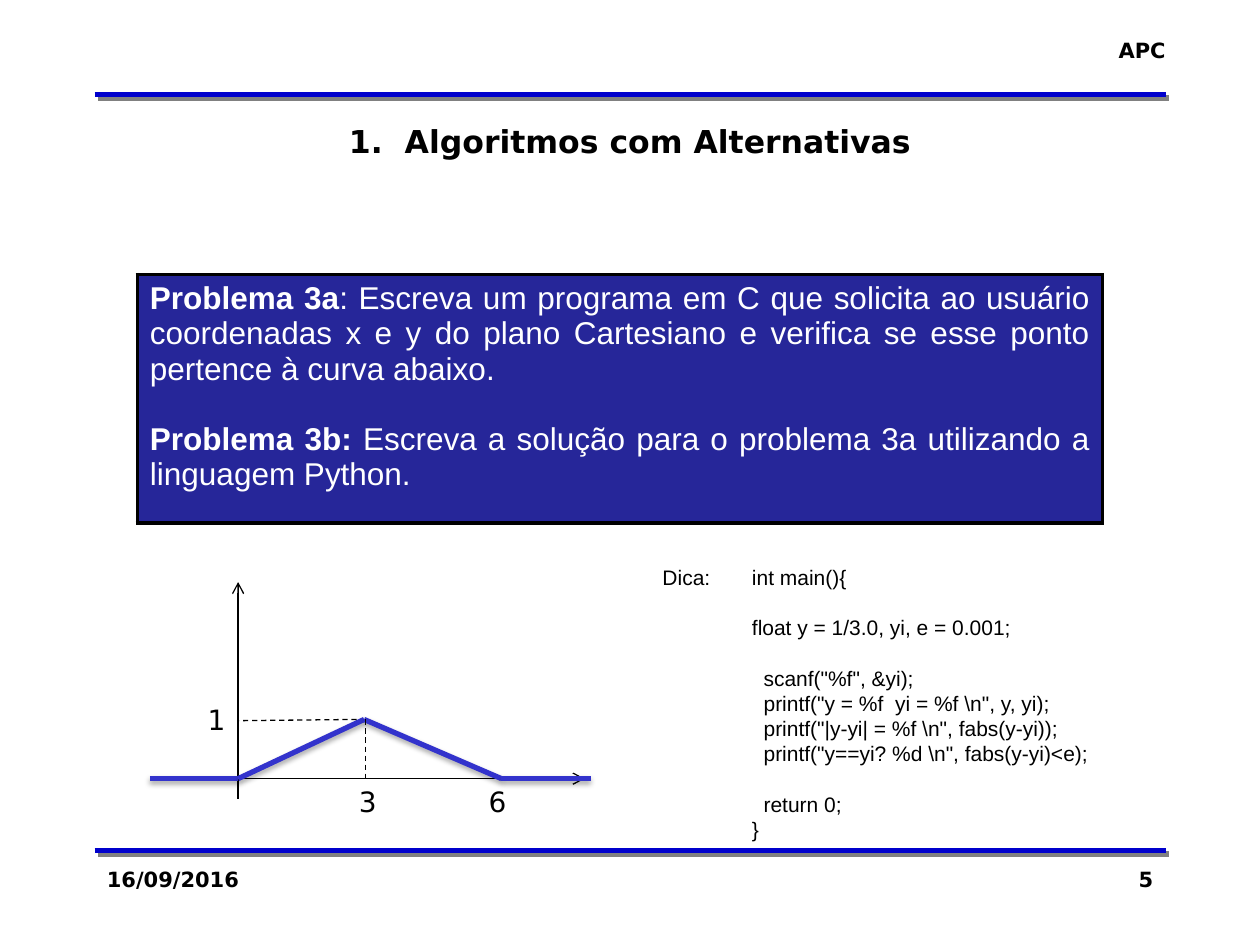
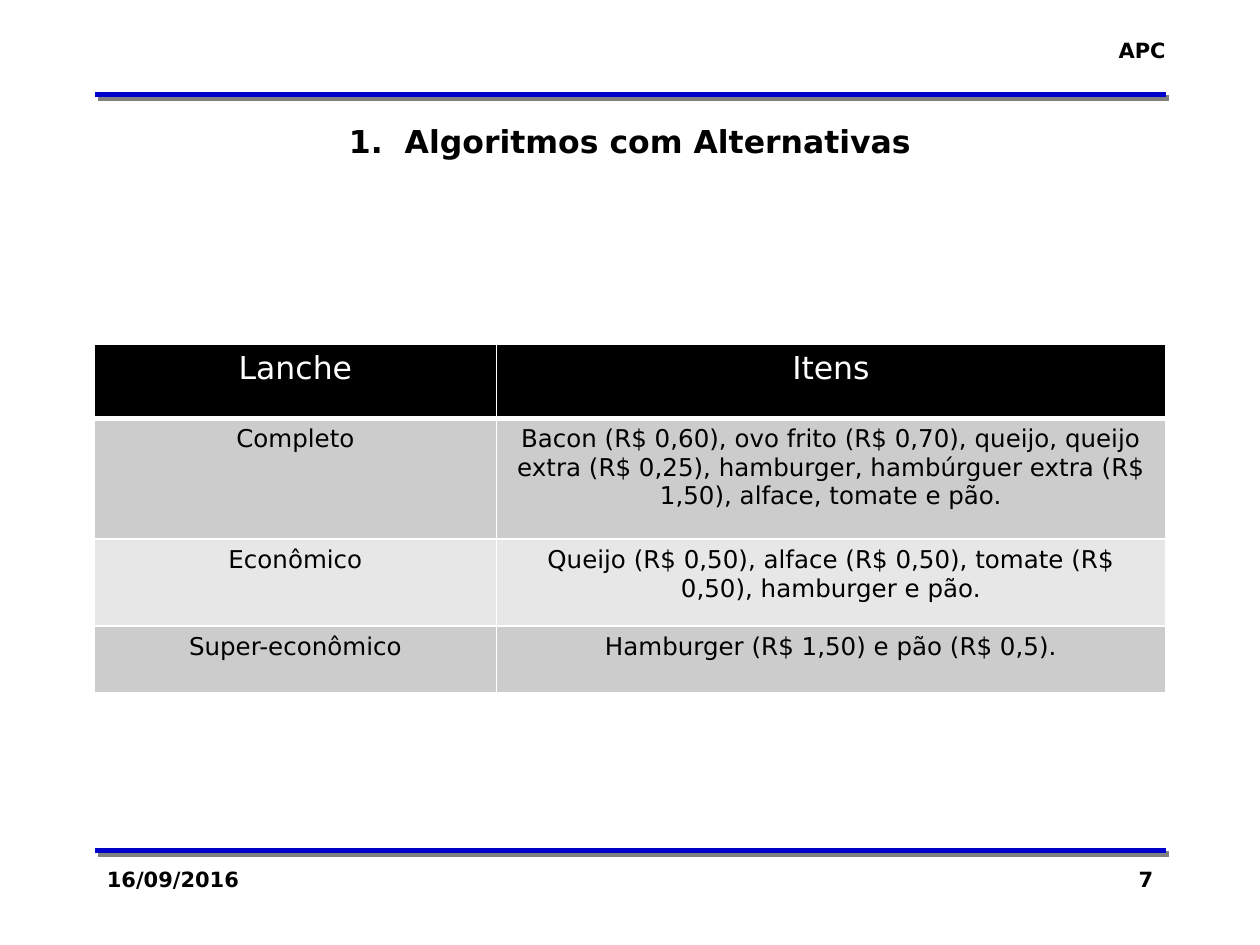
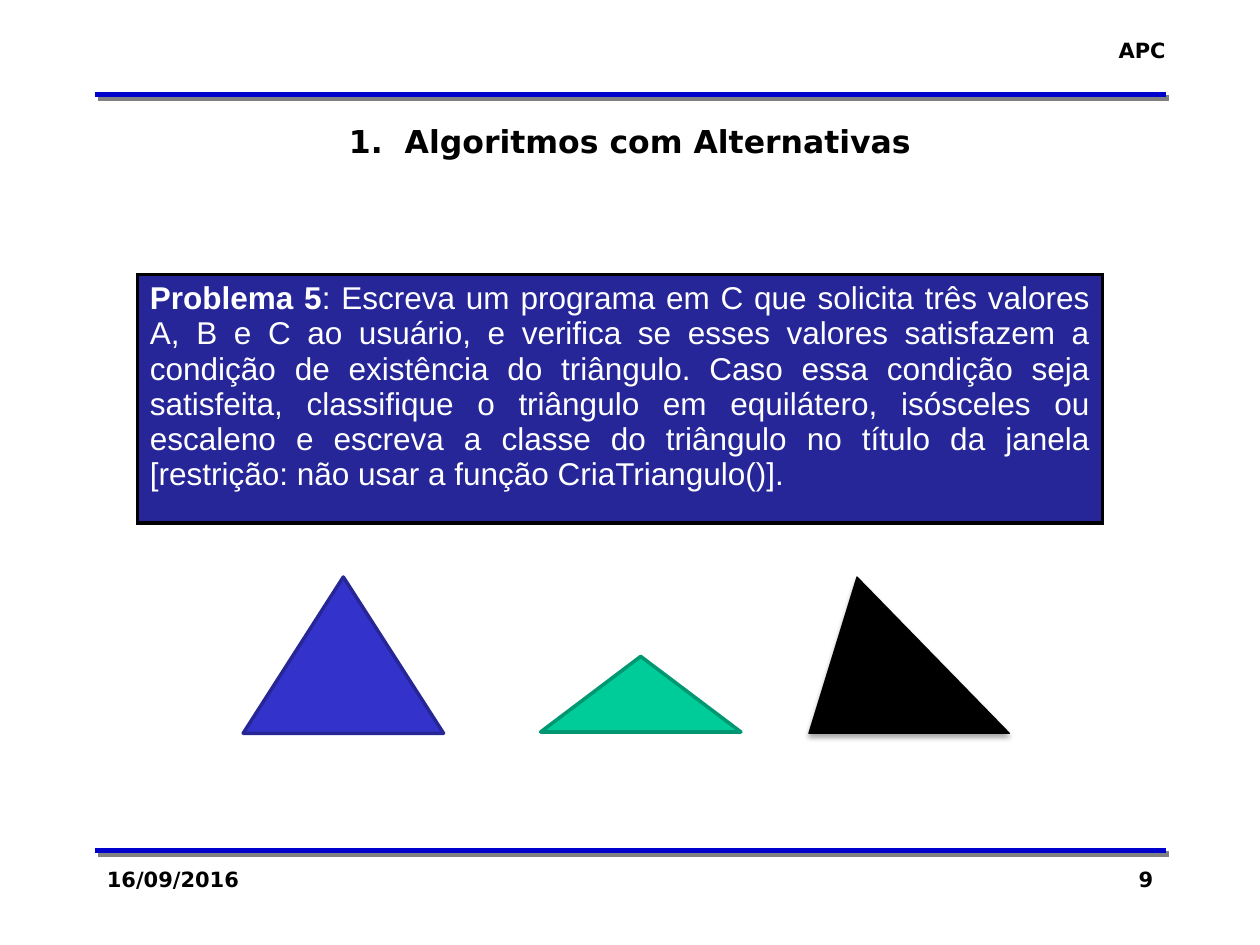
from lxml.etree import SubElement
from pptx import Presentation
from pptx.dml.color import RGBColor
from pptx.enum.dml import MSO_LINE
from pptx.enum.shapes import MSO_CONNECTOR, MSO_SHAPE
from pptx.enum.text import MSO_ANCHOR, PP_ALIGN
from pptx.oxml.ns import qn
from pptx.util import Inches, Pt

BLACK = RGBColor(0x00, 0x00, 0x00)
WHITE = RGBColor(0xFF, 0xFF, 0xFF)
RULE_BLUE = RGBColor(0x00, 0x00, 0xCC)
CURVE_BLUE = RGBColor(0x33, 0x33, 0xCC)
PANEL_BLUE = RGBColor(0x26, 0x26, 0x99)
EDGE_BLUE = RGBColor(0x26, 0x26, 0x97)
GREEN = RGBColor(0x00, 0xCC, 0x99)
EDGE_GREEN = RGBColor(0x00, 0x97, 0x71)
GRAY = RGBColor(0xCC, 0xCC, 0xCC)
LIGHT_GRAY = RGBColor(0xE7, 0xE7, 0xE7)
SHADOW_GRAY = RGBColor(0x80, 0x80, 0x80)

SANS = "DejaVu Sans"
ARIAL = "Arial"
HARD_SHADOW = (SHADOW_GRAY, 100, 0, 2.8, 45)
SOFT_SHADOW = (BLACK, 35, 3.1, 1.8, 90)


def add_text(page, place, lines, size=12, name=SANS, bold=False, align=PP_ALIGN.LEFT):
    box = page.shapes.add_textbox(*map(Inches, place))
    frame = box.text_frame
    frame.word_wrap = place[2] >= 0.6
    gap = 0
    for line in lines:
        if not line:
            gap = 14.4
            continue
        para = frame.paragraphs[0]
        if para.text:
            para = frame.add_paragraph()
        para.text = line
        para.alignment = align
        para.space_before = Pt(gap)
        para.font.size = Pt(size)
        para.font.name = name
        para.font.bold = bold
        para.font.color.rgb = BLACK
        gap = 0


def add_line(page, start, end, color=BLACK, width=0.75):
    line = page.shapes.add_connector(MSO_CONNECTOR.STRAIGHT, *map(Inches, start + end))
    line.line.color.rgb = color
    line.line.width = Pt(width)
    SubElement(line.element.spPr, qn("a:effectLst"))
    return line


deck = Presentation()
deck.slide_width = Inches(10)
deck.slide_height = Inches(7.5)
shadowed = []
bordered = []
pages = []

for number in (5, 7, 9):
    page = deck.slides.add_slide(deck.slide_layouts[5])
    pages.append(page)
    for top in (6.75, 0.75):
        rule = add_line(page, (0.75, top), (9.25, top), RULE_BLUE, 3)
        shadowed.append((rule, HARD_SHADOW))
    add_text(page, (8.77, 0.25, 0.58, 0.3), ["APC"], bold=True, align=PP_ALIGN.RIGHT)
    add_text(page, (0.75, 6.83, 2.08, 0.5), ["16/09/2016"], bold=True)
    add_text(page, (7.17, 6.83, 2.08, 0.5), [str(number)], bold=True, align=PP_ALIGN.RIGHT)
    title = page.shapes.title
    title.left, title.top, title.width, title.height = map(Inches, (0.75, 0.92, 8.5, 0.4))
    title.text_frame.text = "1.  Algoritmos com Alternativas"
    title.text_frame.vertical_anchor = MSO_ANCHOR.TOP
    para = title.text_frame.paragraphs[0]
    para.alignment = PP_ALIGN.CENTER
    para.font.size = Pt(18)
    para.font.name = SANS
    para.font.bold = True
    para.font.color.rgb = BLACK

curve_page, snack_page, triangle_page = pages

problems = [
    (curve_page, [
        ("Problema 3a", ": Escreva um programa em C que solicita ao usuário coordenadas x e y do plano "
         "Cartesiano e verifica se esse ponto pertence à curva abaixo."),
        ("Problema 3b: ", "Escreva a solução para o problema 3a utilizando a linguagem Python."),
    ]),
    (triangle_page, [
        ("Problema 5", ": Escreva um programa em C que solicita três valores A, B e C ao usuário, e "
         "verifica se esses valores satisfazem a condição de existência do triângulo. Caso essa "
         "condição seja satisfeita, classifique o triângulo em equilátero, isósceles ou escaleno e "
         "escreva a classe do triângulo no título da janela [restrição: não usar a função "
         "CriaTriangulo()]."),
    ]),
]
for page, statements in problems:
    table = page.shapes.add_table(1, 1, *map(Inches, (1.09, 2.18, 7.66, 1.97))).table
    bordered.append((table, BLACK, 2.25, 2.25))
    cell = table.cell(0, 0)
    cell.fill.solid()
    cell.fill.fore_color.rgb = PANEL_BLUE
    for index, statement in enumerate(statements):
        para = cell.text_frame.add_paragraph() if index else cell.text_frame.paragraphs[0]
        para.alignment = PP_ALIGN.JUSTIFY
        para.space_before = Pt(20 * index)
        for text, bold in zip(statement, (True, False)):
            span = para.add_run()
            span.text = text
            span.font.size = Pt(18)
            span.font.name = ARIAL
            span.font.bold = bold
            span.font.color.rgb = WHITE

for start, end in [((1.89, 6.34), (1.89, 4.62)), ((1.89, 6.18), (4.64, 6.18))]:
    axis = add_line(curve_page, start, end)
    SubElement(axis.element.spPr.find(qn("a:ln")), qn("a:tailEnd"), type="arrow")

curve = [(1.19, 6.18), (1.89, 6.18), (2.89, 5.71), (3.98, 6.18), (4.69, 6.18)]
for start, end in zip(curve, curve[1:]):
    shadowed.append((add_line(curve_page, start, end, CURVE_BLUE, 3), SOFT_SHADOW))

for start, end in [((2.83, 5.71), (1.89, 5.72)), ((2.9, 5.71), (2.9, 6.18))]:
    add_line(curve_page, start, end).line.dash_style = MSO_LINE.DASH

for label, left, top in [("1", 1.55, 5.53), ("3", 2.75, 6.18), ("6", 3.78, 6.18)]:
    add_text(curve_page, (left, top, 0.34, 0.37), [label], 16)

code = r"""int main(){

float y = 1/3.0, yi, e = 0.001;

  scanf("%f", &yi);
  printf("y = %f  yi = %f \n", y, yi);
  printf("|y-yi| = %f \n", fabs(y-yi));
  printf("y==yi? %d \n", fabs(y-yi)<e);

  return 0;
}"""
add_text(curve_page, (5.87, 4.43, 2.9, 2.32), code.split("\n"), name=ARIAL)
add_text(curve_page, (5.16, 4.43, 0.6, 0.3), ["Dica:"], name=ARIAL)

snacks = [
    ("Lanche", "Itens"),
    ("Completo", "Bacon (R$ 0,60), ovo frito (R$ 0,70), queijo, queijo extra (R$ 0,25), hamburger, "
     "hambúrguer extra (R$ 1,50), alface, tomate e pão."),
    ("Econômico", "Queijo (R$ 0,50), alface (R$ 0,50), tomate (R$ 0,50), hamburger e pão."),
    ("Super-econômico", "Hamburger (R$ 1,50) e pão (R$ 0,5)."),
]
table = snack_page.shapes.add_table(4, 2, *map(Inches, (0.75, 2.73, 8.5, 2.77))).table
bordered.append((table, WHITE, 1, 3))
for column, width in zip(table.columns, (3.19, 5.31)):
    column.width = Inches(width)
row_styles = zip((0.59, 0.96, 0.69, 0.53), (BLACK, GRAY, LIGHT_GRAY, GRAY))
for index, (height, fill) in enumerate(row_styles):
    table.rows[index].height = Inches(height)
    for cell, text in zip(table.rows[index].cells, snacks[index]):
        cell.fill.solid()
        cell.fill.fore_color.rgb = fill
        cell.text_frame.text = text
        para = cell.text_frame.paragraphs[0]
        para.alignment = PP_ALIGN.CENTER
        span = para.runs[0]
        span.font.size = Pt(14 if index else 18)
        span.font.name = SANS
        span.font.bold = False
        span.font.color.rgb = BLACK if index else WHITE

triangles = [
    (1.93, 4.58, 1.24, 0.5, CURVE_BLUE, EDGE_BLUE, 2),
    (4.29, 5.21, 0.6, 0.5, GREEN, EDGE_GREEN, 2),
    (6.42, 4.58, 1.24, 0.24, BLACK, BLACK, 0.75),
]
for left, top, height, apex, fill, edge, width in triangles:
    place = map(Inches, (left, top, 1.59, height))
    triangle = triangle_page.shapes.add_shape(MSO_SHAPE.ISOSCELES_TRIANGLE, *place)
    triangle.adjustments[0] = apex
    triangle.fill.solid()
    triangle.fill.fore_color.rgb = fill
    triangle.line.color.rgb = edge
    triangle.line.width = Pt(width)
    triangle.shadow.inherit = False
shadowed.append((triangle, SOFT_SHADOW))

for shape, (color, opacity, blur, distance, angle) in shadowed:
    effects = shape.element.spPr.find(qn("a:effectLst"))
    shadow = SubElement(effects, qn("a:outerShdw"), blurRad=str(Pt(blur)), dist=str(Pt(distance)),
                        dir=str(angle * 60000), algn="ctr", rotWithShape="0")
    tint = SubElement(shadow, qn("a:srgbClr"), val=str(color))
    SubElement(tint, qn("a:alpha"), val=str(opacity * 1000))

for table, color, width, header_width in bordered:
    table.first_row = False
    table.horz_banding = False
    for index, row in enumerate(table.rows):
        for cell in row.cells:
            properties = cell._tc.get_or_add_tcPr()
            for position, side in enumerate(("lnL", "lnR", "lnT", "lnB")):
                under_header = (index, side) in ((0, "lnB"), (1, "lnT"))
                weight = header_width if under_header else width
                border = SubElement(properties, qn("a:" + side), w=str(Pt(weight)))
                paint = SubElement(border, qn("a:solidFill"))
                SubElement(paint, qn("a:srgbClr"), val=str(color))
                properties.insert(position, border)

deck.save("out.pptx")
